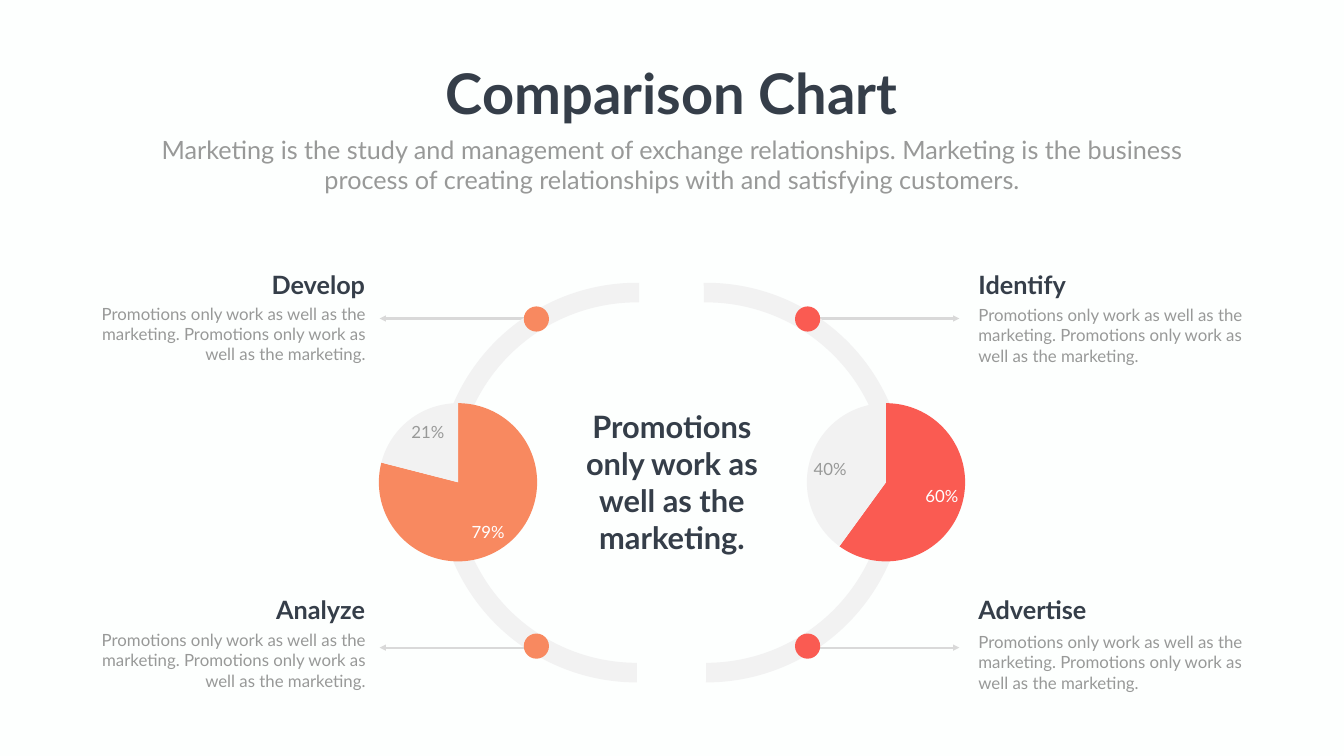
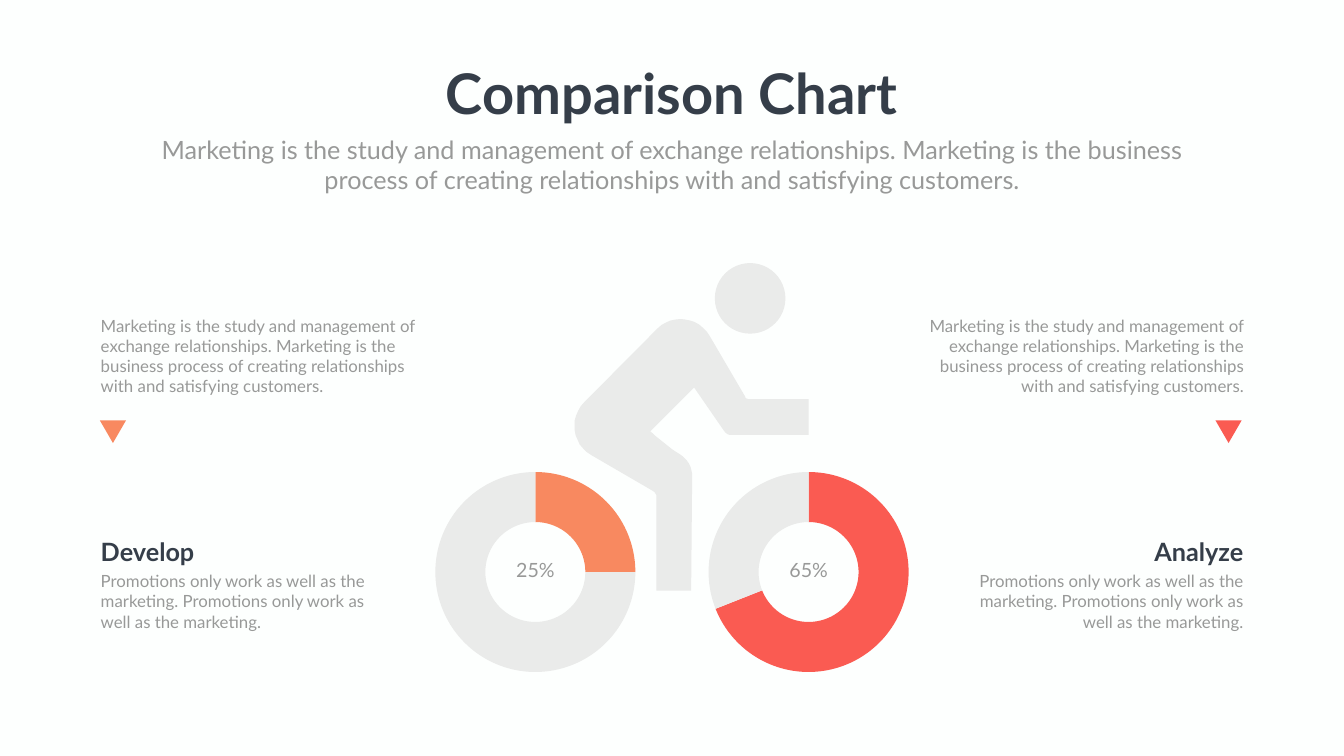
from dataclasses import dataclass

from lxml.etree import SubElement
from pptx import Presentation
from pptx.chart.data import CategoryChartData
from pptx.dml.color import RGBColor
from pptx.enum.chart import XL_CHART_TYPE, XL_LABEL_POSITION
from pptx.enum.shapes import MSO_CONNECTOR, MSO_SHAPE
from pptx.enum.text import MSO_AUTO_SIZE, PP_ALIGN
from pptx.oxml import parse_xml
from pptx.oxml.ns import nsdecls, qn
from pptx.util import Emu, Pt

PX = 9144  # EMU in one px, 100 px to the inch
WIDE, HIGH = 2666, 1500
LEFT, MID, RIGHT = PP_ALIGN.LEFT, PP_ALIGN.CENTER, PP_ALIGN.RIGHT


@dataclass(frozen=True)
class Theme:
    font: str = "Lato"
    back: str = "FDFFFE"
    dark: str = "353E49"
    gray: str = "989998"
    white: str = "FFFFFF"
    rule: str = "D9D9D9"
    ring: str = "F2F2F2"
    rider: str = "EAEBEA"
    warm: str = "F88960"
    red: str = "FA5B52"
    title: int = 80
    core: int = 44
    head: int = 36
    share: int = 28
    body: int = 24
    line: int = 3


T = Theme()

TITLE = "Comparison Chart"
INTRO = ("Marketing is the study and management of exchange relationships. "
         "Marketing is the business process of creating relationships with "
         "and satisfying customers.")
CORE = "Promotions only work as well as the marketing."
NOTE = f"{CORE} {CORE}"

# head, align, left edge of head, left edge of note, top of head, top of note
TOPICS = [
    ("Develop", RIGHT, 306, 175, 530, 597),
    ("Analyze", RIGHT, 306, 175, 1175, 1245),
    ("Identify", LEFT, 1931, 1931, 530, 600),
    ("Advertise", LEFT, 1931, 1931, 1175, 1249),
]
# colour, values, chart left, dot left, arrow start, arrow end
PIES = [
    (T.warm, (79, 21), 652, 1039, 1061, 753),
    (T.red, (60, 40), 1501, 1577, 1595, 1903),
]
DOTS = (608, 1257)
ARROWS = (632, 1285)
# left, rotation, mirrored
ARCS = [(867, 270, False), (1004, 90, True)]

# colour, values, share, chart left, share left, share height
WHEELS = [
    (T.warm, (25, 75), "25%", 836, 955, 69),
    (T.red, (69, 31), "65%", 1378, 1497, 57),
]
# head, align, left of head, left of note, left of intro, left of mark, colour
SIDES = [
    ("Develop", LEFT, 190, 190, 190, 198, T.warm),
    ("Analyze", RIGHT, 2048, 1916, 1789, 2411, T.red),
]
# two numbers are a corner, six are a Bézier curve
RIDER = [
    (1604, 792), (1604, 863), (1450, 863),
    (1444, 863, 1441, 861, 1437, 856), (1377, 769), (1290, 856),
    (1308, 872, 1328, 889, 1351, 903), (1368, 916, 1373, 929, 1373, 949),
    (1371, 1172), (1302, 1172), (1302, 989),
    (1302, 981, 1301, 978, 1295, 974), (1173, 903),
    (1135, 881, 1128, 829, 1159, 798), (1304, 652),
    (1335, 621, 1386, 629, 1408, 667), (1477, 785),
    (1479, 791, 1482, 792, 1490, 792),
]


def emu(*nums):
    return [Emu(n * PX) for n in nums]


def paint(fill, color):
    fill.solid()
    fill.fore_color.rgb = RGBColor.from_string(color)


def style(font, size, color, bold=False):
    font.name, font.size, font.bold = T.font, Pt(size), bold
    font.color.rgb = RGBColor.from_string(color)


def write(slide, text, box, size, color, align, bold=False, wrap=True):
    frame = slide.shapes.add_textbox(*emu(*box)).text_frame
    frame.word_wrap = wrap
    frame.auto_size = MSO_AUTO_SIZE.SHAPE_TO_FIT_TEXT
    para = frame.paragraphs[0]
    para.text, para.alignment = text, align
    style(para.font, size, color, bold)


def topic(slide, text, align, left, top, note_left, note_top):
    write(slide, text, (left, top, 428, 71), T.head, T.dark, align, True)
    write(slide, NOTE, (note_left, note_top, 560, 131), T.body, T.gray, align)


def finish(shape, color):
    paint(shape.fill, color)
    shape.line.fill.background()
    shape.shadow.inherit = False
    return shape


def draw(slide, kind, box, color):
    return finish(slide.shapes.add_shape(kind, *emu(*box)), color)


def arrow(slide, start, end, y):
    line = slide.shapes.add_connector(
        MSO_CONNECTOR.STRAIGHT, *emu(start, y, end, y))
    line.line.width = Pt(T.line)
    line.line.color.rgb = RGBColor.from_string(T.rule)
    SubElement(line.line._get_or_add_ln(), qn("a:tailEnd"), type="triangle")
    SubElement(line._element.spPr, qn("a:effectLst"))


def plot(slide, kind, box, size, values, colors):
    """Add a round chart whose circle is size px across, centred in box."""
    data = CategoryChartData()
    data.categories = ["1", "2"]
    data.add_series("Series 1", values)
    chart = slide.shapes.add_chart(kind, *emu(*box), data).chart
    chart.has_legend = chart.has_title = False
    style(chart.font, 20, T.gray)
    chart.plots[0].vary_by_categories = True
    for n, color in enumerate(colors):
        part = chart.plots[0].series[0].points[n].format
        paint(part.fill, color)
        part.line.fill.background()
    w, h = size / box[2], size / box[3]
    spots = {"x": (1 - w) / 2, "y": (1 - h) / 2, "w": w, "h": h}
    area = chart._chartSpace.xpath("c:chart/c:plotArea")[0]
    for old in area.findall(qn("c:layout")):
        area.remove(old)
    area.insert(0, parse_xml(
        f'<c:layout {nsdecls("c")}><c:manualLayout>'
        '<c:layoutTarget val="inner"/><c:xMode val="edge"/>'
        '<c:yMode val="edge"/>'
        + "".join(f'<c:{k} val="{v:.3f}"/>' for k, v in spots.items())
        + "</c:manualLayout></c:layout>"))
    return chart


def label(chart):
    """Show percentages, white on the main slice and gray on the rest."""
    series = chart.plots[0].series[0]
    tags = series.data_labels
    tags.show_percentage, tags.show_value = True, False
    tags.number_format, tags.number_format_is_linked = "0%", False
    tags.position = XL_LABEL_POSITION.INSIDE_END
    style(tags.font, T.body, T.white)
    rest = series.points[1].data_label
    style(rest.font, T.body, T.gray)
    rest.position = XL_LABEL_POSITION.INSIDE_END
    for name, on in (("showVal", "0"), ("showPercent", "1")):
        for node in chart._chartSpace.xpath(f".//c:dLbl/c:{name}"):
            node.set("val", on)


def trace(path, steps=12):
    """Turn corners and curves into a plain list of points."""
    dots = [path[0]]
    for item in path[1:]:
        if len(item) == 2:
            dots.append(item)
            continue
        ends = [dots[-1], item[:2], item[2:4], item[4:]]
        for n in range(1, steps + 1):
            t = n / steps
            mix = ((1 - t) ** 3, 3 * t * (1 - t) ** 2,
                   3 * t * t * (1 - t), t ** 3)
            dots.append(tuple(sum(m * p[axis] for m, p in zip(mix, ends))
                              for axis in (0, 1)))
    return dots


def start(deck):
    slide = deck.slides.add_slide(deck.slide_layouts[6])
    write(slide, TITLE, (867, 112, 931, 145), T.title, T.dark, MID, True, False)
    write(slide, INTRO, (292, 261, 2082, 131), T.head, T.gray, MID)
    return slide


def pies(deck):
    slide = start(deck)
    for *_, begin, end in PIES:
        for y in ARROWS:
            arrow(slide, begin, end, y)
    for left, turn, flip in ARCS:
        arc = draw(slide, MSO_SHAPE.BLOCK_ARC, (left, 561, 793, 793), T.ring)
        for n, value in enumerate((108, 0.393, 0.049)):
            arc.adjustments[n] = value
        arc.rotation = turn
        if flip:
            arc._element.spPr.xfrm.set("flipH", "1")
    for color, values, left, dot, *_ in PIES:
        label(plot(slide, XL_CHART_TYPE.PIE, (left, 786, 513, 342), 314,
                   values, (color, T.ring)))
        for y in DOTS:
            draw(slide, MSO_SHAPE.OVAL, (dot, y, 50, 50), color)
    for text, align, left, note_left, top, note_top in TOPICS:
        topic(slide, text, align, left, top, note_left, note_top)
    write(slide, CORE, (1129, 804, 408, 306), T.core, T.dark, MID, True)


def wheels(deck):
    slide = start(deck)
    first, *rest = trace(RIDER)
    body = slide.shapes.build_freeform(*first, scale=PX)
    body.add_line_segments(rest, close=True)
    finish(body.convert_to_shape(), T.rider)
    draw(slide, MSO_SHAPE.OVAL, (1418, 522, 140, 140), T.rider)
    for color, values, share, left, share_left, high in WHEELS:
        chart = plot(slide, XL_CHART_TYPE.DOUGHNUT, (left, 923, 452, 424), 397,
                     values, (color, T.rider))
        chart._chartSpace.xpath(".//c:holeSize")[0].set("val", "80")
        write(slide, share, (share_left, 1103, 214, high), T.share, T.gray, MID)
    for text, align, left, note_left, intro_left, mark, color in SIDES:
        topic(slide, text, align, left, 1059, note_left, 1128)
        write(slide, INTRO, (intro_left, 621, 688, 172), T.body, T.gray, align)
        draw(slide, MSO_SHAPE.ISOSCELES_TRIANGLE, (mark, 834, 52, 45),
             color).rotation = 180


def main():
    deck = Presentation()
    deck.slide_width, deck.slide_height = emu(WIDE, HIGH)
    paint(deck.slide_master.background.fill, T.back)
    pies(deck)
    wheels(deck)
    deck.save("out.pptx")


if __name__ == "__main__":
    main()
